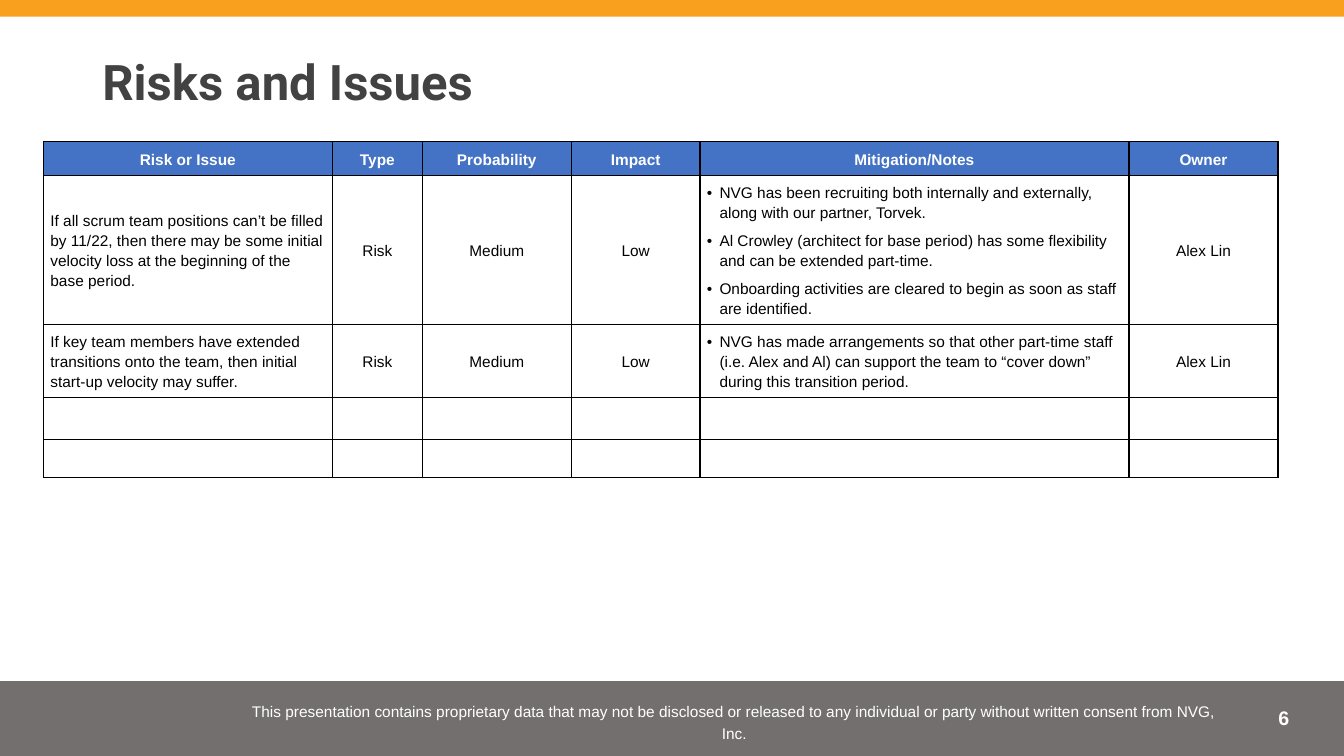
import pptx
import pptx.dml.color
import pptx.enum.shapes
import pptx.enum.text
import pptx.oxml
import pptx.oxml.ns
import pptx.util
from lxml import etree

Pt = pptx.util.Pt
RGBColor = pptx.dml.color.RGBColor
Align = pptx.enum.text.PP_ALIGN
Anchor = pptx.enum.text.MSO_ANCHOR
qn = pptx.oxml.ns.qn

ORANGE = RGBColor(0xF9, 0xA0, 0x1E)
FOOTER_GREY = RGBColor(0x4F, 0x49, 0x49)
TITLE_GREY = RGBColor(0x42, 0x42, 0x42)
HEADER_BLUE = RGBColor(0x44, 0x72, 0xC4)
WHITE = RGBColor(0xFF, 0xFF, 0xFF)
BLACK = RGBColor(0, 0, 0)

WIDTH, HEIGHT = 960, 540
COLUMN_WIDTHS = [206.5, 64.2, 106.5, 91.8, 306.5, 106.5]
ROW_HEIGHTS = [24, 106, 52, 30, 27]
MITIGATION = 4

HEADINGS = ["Risk or Issue", "Type", "Probability", "Impact", "Mitigation/Notes", "Owner"]
RISKS = [
    ["If all scrum team positions can’t be filled by 11/22, then there may be some "
     "initial velocity loss at the beginning of the base period.",
     "Risk", "Medium", "Low",
     ["NVG has been recruiting both internally and externally, along with our partner, Torvek.",
      "Al Crowley (architect for base period) has some flexibility and can be extended part-time.",
      "Onboarding activities are cleared to begin as soon as staff are identified."],
     "Alex Lin"],
    ["If key team members have extended transitions onto the team, then initial "
     "start-up velocity may suffer.",
     "Risk", "Medium", "Low",
     ["NVG has made arrangements so that other part-time staff (i.e. Alex and Al) can "
      "support the team to “cover down” during this transition period."],
     "Alex Lin"],
]
NOTICE = ("This presentation contains proprietary data that may not be disclosed or released "
          "to any individual or party without written consent from NVG, Inc.")


class SlideBuilder:
    """Holds the text style and the current slide."""

    font = "Arial"
    size = 11
    spacing = 1.15

    def __init__(self, slide):
        self.slide = slide

    def add_text(self, paragraph, text, color, size=None, bold=False, align=Align.LEFT,
                 font=None, spacing=None):
        paragraph.alignment = align
        paragraph.line_spacing = spacing or self.spacing
        run = paragraph.add_run()
        run.text = text
        run.font.name = font or self.font
        run.font.size = Pt(size or self.size)
        run.font.bold = bold
        run.font.color.rgb = color

    def frame(self, shape, anchor, inset_x=7.2, inset_y=7.2):
        frame = shape.text_frame
        frame.word_wrap = True
        frame.auto_size = pptx.enum.text.MSO_AUTO_SIZE.NONE
        frame.vertical_anchor = anchor
        frame.margin_left = frame.margin_right = Pt(inset_x)
        frame.margin_top = frame.margin_bottom = Pt(inset_y)
        return frame.paragraphs[0]

    def bar(self, top, height, color, opacity=100):
        bar = self.slide.shapes.add_shape(
            pptx.enum.shapes.MSO_SHAPE.RECTANGLE, 0, Pt(top), Pt(WIDTH), Pt(height))
        bar.shadow.inherit = False
        bar.line.fill.background()
        bar.fill.solid()
        bar.fill.fore_color.rgb = color
        if opacity < 100:
            tint = bar.fill._xPr.find(".//" + qn("a:srgbClr"))
            etree.SubElement(tint, qn("a:alpha"), val=str(opacity * 1000))

    def title(self, text, left, top, width, height):
        title = self.slide.shapes.title
        title.left, title.top = Pt(left), Pt(top)
        title.width, title.height = Pt(width), Pt(height)
        self.add_text(self.frame(title, Anchor.MIDDLE), text, TITLE_GREY, 35, True,
                      font="Roboto", spacing=0.9)

    def label(self, text, left, top, width, height, anchor, inset_y, **style):
        box = self.slide.shapes.add_textbox(Pt(left), Pt(top), Pt(width), Pt(height))
        self.add_text(self.frame(box, anchor, inset_y=inset_y), text, WHITE, **style)

    def table(self, left, top, widths, heights):
        table = self.slide.shapes.add_table(
            len(heights), len(widths), Pt(left), Pt(top),
            Pt(sum(widths)), Pt(sum(heights))).table
        table.horz_banding = False
        for column, width in zip(table.columns, widths):
            column.width = Pt(width)
        for row, height in zip(table.rows, heights):
            row.height = Pt(height)
        for cell in table.iter_cells():
            self.prepare_cell(cell)
        return table

    def prepare_cell(self, cell):
        cell.vertical_anchor = Anchor.MIDDLE
        cell.margin_left = cell.margin_right = Pt(5)
        cell.margin_top = cell.margin_bottom = Pt(5)
        cell.fill.background()
        # Borders come before the fill in the cell properties
        properties = cell._tc.get_or_add_tcPr()
        for position, side in enumerate("LRTB"):
            properties.insert(position, pptx.oxml.parse_xml(
                f'<a:ln{side} {pptx.oxml.ns.nsdecls("a")} w="{Pt(1)}"><a:solidFill>'
                f'<a:srgbClr val="{BLACK}"/></a:solidFill></a:ln{side}>'))
        # Text size of a cell that stays empty
        etree.SubElement(cell.text_frame.paragraphs[0]._p, qn("a:endParaRPr"),
                         sz=str(self.size * 100))

    def bullets(self, cell, items):
        frame = cell.text_frame
        for index, item in enumerate(items):
            paragraph = frame.add_paragraph() if index else frame.paragraphs[0]
            self.add_text(paragraph, item, BLACK)
            paragraph.space_after = Pt(6)
            properties = paragraph._p.get_or_add_pPr()
            properties.set("marL", str(Pt(9)))
            properties.set("indent", str(Pt(-9)))
            etree.SubElement(properties, qn("a:buFont"), typeface=self.font)
            etree.SubElement(properties, qn("a:buChar"), char="•")


def main():
    deck = pptx.Presentation()
    deck.slide_width, deck.slide_height = Pt(WIDTH), Pt(HEIGHT)
    builder = SlideBuilder(deck.slides.add_slide(deck.slide_layouts[5]))

    # Footer and top band
    builder.bar(486.5, 53.5, FOOTER_GREY, opacity=79)
    builder.bar(0, 12, ORANGE)
    builder.label("6", 850, 501, 78, 29, Anchor.TOP, 3.6,
                  size=14, bold=True, align=Align.RIGHT, spacing=1.0)
    builder.label(NOTICE, 163.5, 496, 722, 38, Anchor.MIDDLE, 7.2, align=Align.CENTER)

    # Title
    builder.title("Risks and Issues", 66, 33, 828, 55.5)

    # Risk register
    register = builder.table(31, 101.2, COLUMN_WIDTHS, ROW_HEIGHTS)
    for column, heading in enumerate(HEADINGS):
        cell = register.cell(0, column)
        cell.fill.solid()
        cell.fill.fore_color.rgb = HEADER_BLUE
        builder.add_text(cell.text_frame.paragraphs[0], heading, WHITE,
                         bold=True, align=Align.CENTER)
    for row, risk in enumerate(RISKS, start=1):
        for column, entry in enumerate(risk):
            cell = register.cell(row, column)
            if column == MITIGATION:
                builder.bullets(cell, entry)
            else:
                builder.add_text(cell.text_frame.paragraphs[0], entry, BLACK,
                                 align=Align.CENTER if column else Align.LEFT)

    deck.save("out.pptx")


if __name__ == "__main__":
    main()
